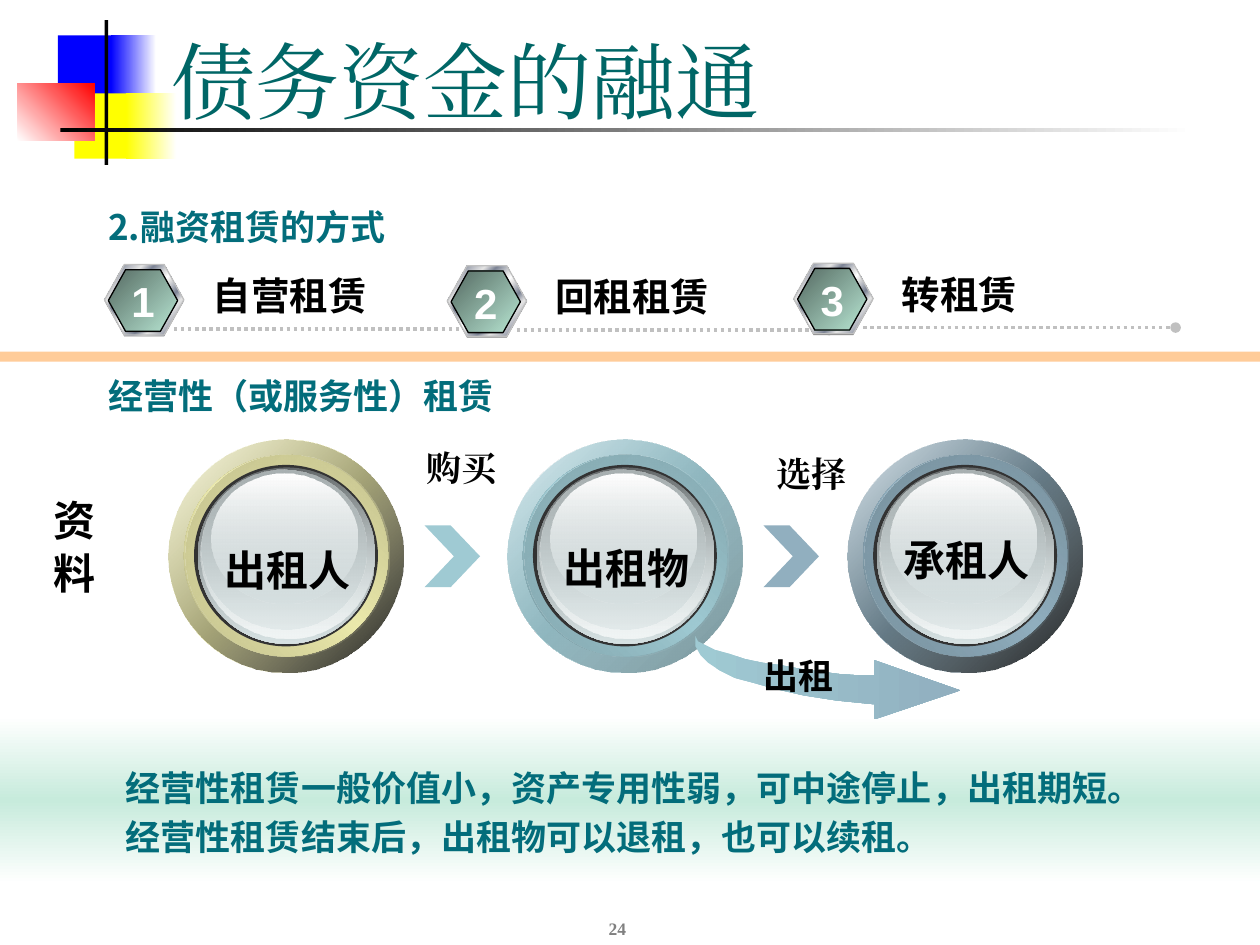
from dataclasses import dataclass

from lxml import etree
from pptx import Presentation
from pptx.dml.color import RGBColor
from pptx.enum.dml import MSO_LINE
from pptx.enum.shapes import MSO_CONNECTOR, MSO_SHAPE
from pptx.enum.text import MSO_ANCHOR, PP_ALIGN
from pptx.oxml.ns import qn
from pptx.util import Inches, Pt

RECT, OVAL = MSO_SHAPE.RECTANGLE, MSO_SHAPE.OVAL
HEX, CHEVRON = MSO_SHAPE.HEXAGON, MSO_SHAPE.CHEVRON
TOP, MIDDLE, BOTTOM = MSO_ANCHOR.TOP, MSO_ANCHOR.MIDDLE, MSO_ANCHOR.BOTTOM
LEFT, CENTER = PP_ALIGN.LEFT, PP_ALIGN.CENTER
DOTS, STRAIGHT = MSO_LINE.ROUND_DOT, MSO_CONNECTOR.STRAIGHT


@dataclass(frozen=True)
class Theme:
    white: str = "FFFFFF"
    black: str = "000000"
    blue: str = "0000FF"
    yellow: str = "FFFF00"
    red: str = "FF0000"
    title: str = "006666"
    teal: str = "036D7B"
    gray: str = "808080"
    silver: str = "C0C0C0"
    orange: str = "FFCC99"
    mint: str = "C7EBDC"
    rim: str = "333333"
    glass: str = "D6E1E2"
    aqua: str = "9FCAD3"
    steel: str = "91AFBF"
    sans: str = "Noto Sans CJK SC"
    serif: str = "Times New Roman"
    arial: str = "Arial"
    huge: int = 48
    large: int = 24
    label: int = 22
    body: int = 20
    small: int = 10


T = Theme()


@dataclass(frozen=True)
class Fade:
    """Gradient: stops are (position, colour[, opacity]), angle runs clockwise."""
    angle: int
    stops: tuple


@dataclass(frozen=True)
class Font:
    size: int = T.body
    color: str = T.black
    face: str = T.sans
    bold: bool = True


@dataclass(frozen=True)
class Step:
    x: float
    y: float
    text: str


@dataclass(frozen=True)
class Disc:
    x: float
    tint: str
    band: str
    sheen: str
    shade: tuple
    text: str
    face: str
    top: float


def fade(angle: int, *stops: tuple) -> Fade:
    return Fade(angle, stops)


def blend(angle: int, start: str, end: str) -> Fade:
    return fade(angle, (0, start), (100, end))


def paint(shape, fill: str | Fade, line: str | None = None) -> None:
    shape.shadow.inherit = False
    if line:
        shape.line.color.rgb = RGBColor.from_string(line)
        shape.line.width = Pt(0.75)
    else:
        shape.line.fill.background()
    if isinstance(fill, str):
        shape.fill.solid()
        shape.fill.fore_color.rgb = RGBColor.from_string(fill)
        return
    shape.fill.gradient()
    shape.fill.gradient_angle = -fill.angle % 360
    stops = shape._element.spPr.find(qn("a:gradFill")).find(qn("a:gsLst"))
    for old in list(stops):
        stops.remove(old)
    for place, color, *alpha in fill.stops:
        stop = etree.SubElement(stops, qn("a:gs"), pos=str(place * 1000))
        tone = etree.SubElement(stop, qn("a:srgbClr"), val=color)
        if alpha:
            etree.SubElement(tone, qn("a:alpha"), val=str(alpha[0] * 1000))


def draw(slide, kind, box: tuple, fill: str | Fade, line: str | None = None,
         bend: float | None = None) -> None:
    shape = slide.shapes.add_shape(kind, *map(Inches, box))
    if bend is not None:
        shape.adjustments[0] = bend
    paint(shape, fill, line)


def write(slide, box: tuple, lines: list[str], font: Font, align=LEFT, anchor=TOP,
          wrap: bool = True, pitch: float = 1.0, upright: bool = False) -> None:
    frame = slide.shapes.add_textbox(*map(Inches, box)).text_frame
    frame.word_wrap = wrap
    frame.vertical_anchor = anchor
    if upright:
        frame._txBody.bodyPr.set("vert", "eaVert")
    for i, text in enumerate(lines):
        para = frame.add_paragraph() if i else frame.paragraphs[0]
        para.alignment = align
        para.line_spacing = pitch
        if i:
            para.space_before = Pt(font.size * 0.2)
        run = para.add_run()
        run.text = text
        run.font.size = Pt(font.size)
        run.font.bold = font.bold
        run.font.name = font.face
        run.font.color.rgb = RGBColor.from_string(font.color)
        etree.SubElement(run._r.get_or_add_rPr(), qn("a:ea"), typeface=font.face)


def trail(slide, x: float, y: float) -> None:
    """Dotted line that ends in a round dot."""
    link = slide.shapes.add_connector(STRAIGHT, Inches(x), Inches(y), Inches(x + 2.48), Inches(y))
    link.line.color.rgb = RGBColor.from_string(T.silver)
    link.line.width = Pt(2)
    link.line.dash_style = DOTS
    etree.SubElement(link.line._get_or_add_ln(), qn("a:tailEnd"), type="oval")
    etree.SubElement(link._element.spPr, qn("a:effectLst"))


def draw_step(slide, step: Step, mark: int) -> None:
    x, y = step.x, step.y
    light, dark = "E6E6E6", "7D8496"
    metal = fade(45, (0, light), (8, dark), (26, light), (34, dark), (46, light), (50, T.white),
                 (54, light), (66, dark), (74, light), (92, dark), (100, light))
    draw(slide, HEX, (x, y + 0.01, 0.63, 0.56), T.gray, bend=0.28)
    draw(slide, HEX, (x, y, 0.63, 0.56), metal, T.silver, 0.28)
    draw(slide, HEX, (x + 0.03, y + 0.04, 0.55, 0.49), blend(45, "556A62", "B8E6D3"), T.black, 0.28)
    write(slide, (x + 0.11, y + 0.04, 0.39, 0.5), [str(mark)],
          Font(T.large, T.white, T.arial), CENTER, MIDDLE)
    trail(slide, x + 0.55, y + 0.51)
    write(slide, (x + 0.76, y + 0.01, 1.83, 0.47), [step.text], Font(T.label))


def draw_disc(slide, disc: Disc) -> None:
    x, y, tint = disc.x, 3.49, disc.tint
    layers = [
        (0, 0, 1.86, 1.85, fade(45, (0, T.white), (50, tint), (100, T.white))),
        (0, 0, 1.86, 1.85, fade(45, (0, tint, 32), disc.shade)),
        (0.12, 0.12, 1.62, 1.6, fade(315, (0, disc.band), (50, tint), (100, disc.band))),
        (0.13, 0.12, 1.62, 1.6, fade(45, (0, disc.sheen), (100, tint, 0))),
        (0.2, 0.2, 1.46, 1.44, T.rim),
        (0.23, 0.22, 1.41, 1.4, blend(90, "636869", T.glass)),
        (0.25, 0.22, 1.38, 1.36, fade(90, (0, T.glass, 0), (100, "F1F5F5"))),
        (0.26, 0.24, 1.31, 1.27, fade(90, (0, "AAB2B3"), (100, T.glass, 48))),
        (0.34, 0.27, 1.16, 1.03, fade(90, (0, T.white), (100, T.glass, 38))),
    ]
    for dx, dy, wide, high, fill in layers:
        draw(slide, OVAL, (x + dx, y + dy, wide, high), fill)
    write(slide, (x + 0.34, disc.top, 1.2, 0.5), [disc.text],
          Font(T.large, face=disc.face), CENTER, wrap=False)


def draw_swoosh(slide) -> None:
    points = [
        (5.52, 5.05), (5.52, 5.13), (5.56, 5.2), (5.62, 5.26), (5.71, 5.32), (5.83, 5.38),
        (5.98, 5.42), (6.16, 5.47), (6.38, 5.52), (6.64, 5.56), (6.94, 5.59), (6.94, 5.71),
        (7.62, 5.48), (6.94, 5.24), (6.94, 5.36), (6.81, 5.36), (6.66, 5.35), (6.51, 5.33),
        (6.36, 5.31), (6.2, 5.28), (6.05, 5.26), (5.91, 5.23), (5.79, 5.19), (5.68, 5.16),
        (5.6, 5.12), (5.54, 5.09)]
    spots = [(Inches(x), Inches(y)) for x, y in points]
    pen = slide.shapes.build_freeform(*spots[0])
    pen.add_line_segments(spots[1:], close=True)
    paint(pen.convert_to_shape(), blend(0, T.aqua, T.steel))


def draw_frame(slide) -> None:
    for box, fill in [
        ((0.46, 0.28, 0.48, 0.52), T.blue),
        ((0.88, 0.28, 0.36, 0.52), blend(0, T.blue, T.white)),
        ((0.59, 0.74, 0.46, 0.52), T.yellow),
        ((1, 0.74, 0.4, 0.52), blend(0, T.yellow, T.white)),
        ((0.14, 0.66, 0.61, 0.46), blend(315, T.white, T.red)),
        ((0.83, 0.16, 0.03, 1.15), T.black),
        ((0.48, 1.02, 9, 0.03), blend(0, T.black, T.white)),
    ]:
        draw(slide, RECT, box, fill)
    write(slide, (3.86, 7, 2.08, 0.5), ["24"], Font(T.small, T.gray, T.serif), CENTER, BOTTOM)
    write(slide, (1.26, 0.16, 8.52, 0.92), ["债务资金的融通"],
          Font(T.huge, T.title, T.serif, False), anchor=BOTTOM)


def main() -> None:
    deck = Presentation()
    deck.slide_width, deck.slide_height = Inches(10), Inches(7.5)
    slide = deck.slides.add_slide(deck.slide_layouts[6])
    head = Font(color=T.teal)
    draw_frame(slide)
    write(slide, (0.76, 1.62, 2.99, 0.47), ["2.融资租赁的方式"], head, pitch=0.9)
    steps = [Step(0.83, 2.1, "自营租赁"), Step(3.55, 2.11, "回租租赁"), Step(6.3, 2.09, "转租赁")]
    for mark, step in enumerate(steps, 1):
        draw_step(slide, step, mark)
    draw(slide, RECT, (0, 5.68, 10, 1.34), fade(90, (0, T.white), (50, T.mint), (100, T.white)))
    write(slide, (0.9, 6.03, 8.66, 0.83),
          ["经营性租赁一般价值小，资产专用性弱，可中途停止，出租期短。",
           "经营性租赁结束后，出租物可以退租，也可以续租。"], head, anchor=MIDDLE)
    write(slide, (0.76, 2.96, 6.3, 0.4), ["经营性（或服务性）租赁"], head, pitch=0.9)
    dusk = (100, T.black, 90)
    for disc in [
        Disc(1.34, "ECEAAC", "B5B384", "C2C08D", dusk, "出租人", T.sans, 4.27),
        Disc(4.03, T.aqua, "7A9BA2", "83A6AD", (100, "729097"), "出租物", T.arial, 4.26),
        Disc(6.73, T.steel, "6F8692", "77909D", dusk, "承租人", T.sans, 4.19),
    ]:
        draw_disc(slide, disc)
    for x, fill, box, text in [
        (3.37, T.aqua, (3.15, 3.48, 1.02, 0.46), "购买"),
        (6.06, T.steel, (5.91, 3.53, 1.06, 0.46), "选择"),
    ]:
        draw(slide, CHEVRON, (x, 4.17, 0.44, 0.49), fill, bend=0.53)
        write(slide, box, [text], Font(face=T.serif), CENTER, MIDDLE, wrap=False)
    draw_swoosh(slide)
    write(slide, (5.96, 5.18, 0.76, 0.4), ["出租"], Font(), wrap=False, pitch=0.9)
    draw(slide, RECT, (0, 2.79, 10, 0.08), T.orange)
    write(slide, (0.23, 3.87, 0.6, 1.26), ["资 料"], Font(T.large), CENTER, upright=True)
    deck.save("out.pptx")


if __name__ == "__main__":
    main()
